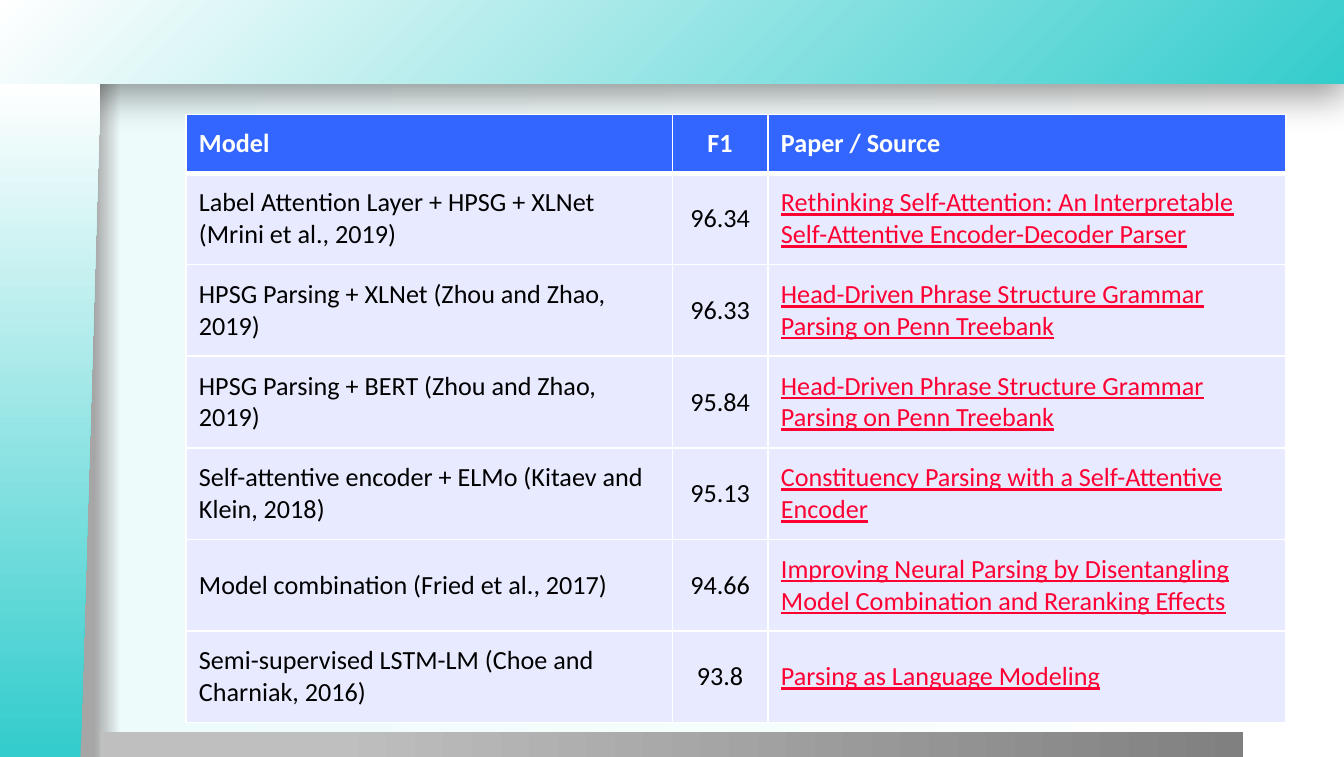
from dataclasses import dataclass

from lxml.etree import SubElement
from pptx import Presentation
from pptx.dml.color import RGBColor
from pptx.enum.shapes import MSO_SHAPE
from pptx.enum.text import MSO_ANCHOR, PP_ALIGN
from pptx.oxml.ns import qn
from pptx.util import Cm, Pt

# Content
HEADINGS = ("Model", "F1", "Paper / Source")
RESULTS = [
    ("Label Attention Layer + HPSG + XLNet (Mrini et al., 2019)", "96.34",
     "Rethinking Self-Attention: An Interpretable Self-Attentive Encoder-Decoder Parser"),
    ("HPSG Parsing + XLNet (Zhou and Zhao, 2019)", "96.33",
     "Head-Driven Phrase Structure Grammar Parsing on Penn Treebank"),
    ("HPSG Parsing + BERT (Zhou and Zhao, 2019)", "95.84",
     "Head-Driven Phrase Structure Grammar Parsing on Penn Treebank"),
    ("Self-attentive encoder + ELMo (Kitaev and Klein, 2018)", "95.13",
     "Constituency Parsing with a Self-Attentive Encoder"),
    ("Model combination (Fried et al., 2017)", "94.66",
     "Improving Neural Parsing by Disentangling Model Combination and Reranking Effects"),
    ("Semi-supervised LSTM-LM (Choe and Charniak, 2016)", "93.8",
     "Parsing as Language Modeling"),
]


@dataclass(frozen=True)
class Theme:
    font: str = "Calibri"
    size: int = 14
    text: str = "000000"
    white: str = "FFFFFF"
    link: str = "FF0033"
    header: str = "3366FF"
    body: str = "E8EAFF"
    rule: float = 1
    header_rule: float = 3
    backdrop: tuple = ((7, "A6A6A6"), (9, "EDFBFB"), (100, "FFFFFF"))
    banner: tuple = ((0, "34CCCC"), (100, "FFFFFF"))
    side: tuple = ((1, "34CCCC"), (100, "FFFFFF"))
    footer: tuple = ((20, "BFBFBF"), (100, "808080"))


THEME = Theme()

# Layout, in centimetres
SLIDE_W, SLIDE_H = 25.4, 14.3
BANNER_H, SIDE_W = 1.58, 1.9
TABLE_X, TABLE_Y = 3.51, 2.16
COLUMN_WIDTHS = (9.2, 1.8, 9.8)
HEADER_H, ROW_H = 1.11, 1.73
PADDING = 0.25


def add_color(parent, color, alpha=None):
    node = SubElement(parent, qn("a:srgbClr"), val=color)
    if alpha is not None:
        SubElement(node, qn("a:alpha"), val=str(alpha * 1000))


def set_gradient(fill, element, stops, from_corner=False):
    """Horizontal gradient, or a radial one from the lower right corner."""
    fill.gradient()
    gradient = next(element.iter(qn("a:gradFill")))
    for child in list(gradient):
        gradient.remove(child)
    stop_list = SubElement(gradient, qn("a:gsLst"))
    for position, color in stops:
        add_color(SubElement(stop_list, qn("a:gs"), pos=str(position * 1000)), color)
    if from_corner:
        radial = SubElement(gradient, qn("a:path"), path="circle")
        SubElement(radial, qn("a:fillToRect"), l="100000", t="100000")
    else:
        SubElement(gradient, qn("a:lin"), ang="0", scaled="0")


def add_panel(slide, kind, box, stops, from_corner=False):
    panel = slide.shapes.add_shape(kind, *(Cm(length) for length in box))
    panel.shadow.inherit = False
    panel.line.fill.background()
    set_gradient(panel.fill, panel._element.spPr, stops, from_corner)
    return panel


def set_borders(cell, bottom):
    properties = cell._tc.get_or_add_tcPr()
    widths = {"L": THEME.rule, "R": THEME.rule, "T": THEME.rule, "B": bottom}
    for index, (side, width) in enumerate(widths.items()):
        border = SubElement(properties, qn(f"a:ln{side}"), w=str(Pt(width)))
        add_color(SubElement(border, qn("a:solidFill")), THEME.white)
        properties.insert(index, border)


def fill_cell(cell, text, column, is_header):
    is_link = column == 2 and not is_header
    cell.fill.solid()
    cell.fill.fore_color.rgb = RGBColor.from_string(THEME.header if is_header else THEME.body)
    set_borders(cell, THEME.header_rule if is_header else THEME.rule)
    cell.vertical_anchor = MSO_ANCHOR.MIDDLE
    cell.margin_left = cell.margin_right = cell.margin_top = cell.margin_bottom = Cm(PADDING)
    paragraph = cell.text_frame.paragraphs[0]
    paragraph.alignment = PP_ALIGN.CENTER if column == 1 else PP_ALIGN.LEFT
    run = paragraph.add_run()
    run.text = text
    run.font.name, run.font.size = THEME.font, Pt(THEME.size)
    run.font.bold, run.font.underline = is_header, is_link
    color = THEME.white if is_header else THEME.link if is_link else THEME.text
    run.font.color.rgb = RGBColor.from_string(color)


def main():
    deck = Presentation()
    deck.slide_width, deck.slide_height = Cm(SLIDE_W), Cm(SLIDE_H)
    slide = deck.slides.add_slide(deck.slide_layouts[6])

    # Background
    set_gradient(slide.background.fill, slide._element, THEME.backdrop)

    # Top banner with its soft shadow
    banner = add_panel(slide, MSO_SHAPE.RECTANGLE, (0, 0, SLIDE_W, BANNER_H),
                       THEME.banner, from_corner=True)
    effects = banner._element.spPr.find(qn("a:effectLst"))
    shadow = SubElement(effects, qn("a:outerShdw"), blurRad=str(Pt(20)), dist=str(Pt(6)),
                        dir=str(90 * 60000), algn="t", rotWithShape="0")
    add_color(shadow, "000000", alpha=40)

    # Footer bar
    add_panel(slide, MSO_SHAPE.RECTANGLE, (SIDE_W, 13.82, 21.6, SLIDE_H - 13.82), THEME.footer)

    # Slanted side panel, turned a quarter about its centre
    side_h = SLIDE_H - BANNER_H
    side_box = ((SIDE_W - side_h) / 2, BANNER_H + (side_h - SIDE_W) / 2, side_h, SIDE_W)
    side = add_panel(slide, MSO_SHAPE.FLOWCHART_MANUAL_INPUT, side_box, THEME.side)
    side.rotation = 270
    side._element.spPr.find(qn("a:xfrm")).set("flipV", "1")

    # Results table
    rows = [HEADINGS, *RESULTS]
    heights = [HEADER_H] + [ROW_H] * len(RESULTS)
    table = slide.shapes.add_table(len(rows), len(HEADINGS), Cm(TABLE_X), Cm(TABLE_Y),
                                   Cm(sum(COLUMN_WIDTHS)), Cm(sum(heights))).table
    table.horz_banding = False
    for column, width in zip(table.columns, COLUMN_WIDTHS):
        column.width = Cm(width)
    for r, (texts, height) in enumerate(zip(rows, heights)):
        table.rows[r].height = Cm(height)
        for c, text in enumerate(texts):
            fill_cell(table.cell(r, c), text, c, is_header=r == 0)

    deck.save("out.pptx")


if __name__ == "__main__":
    main()
